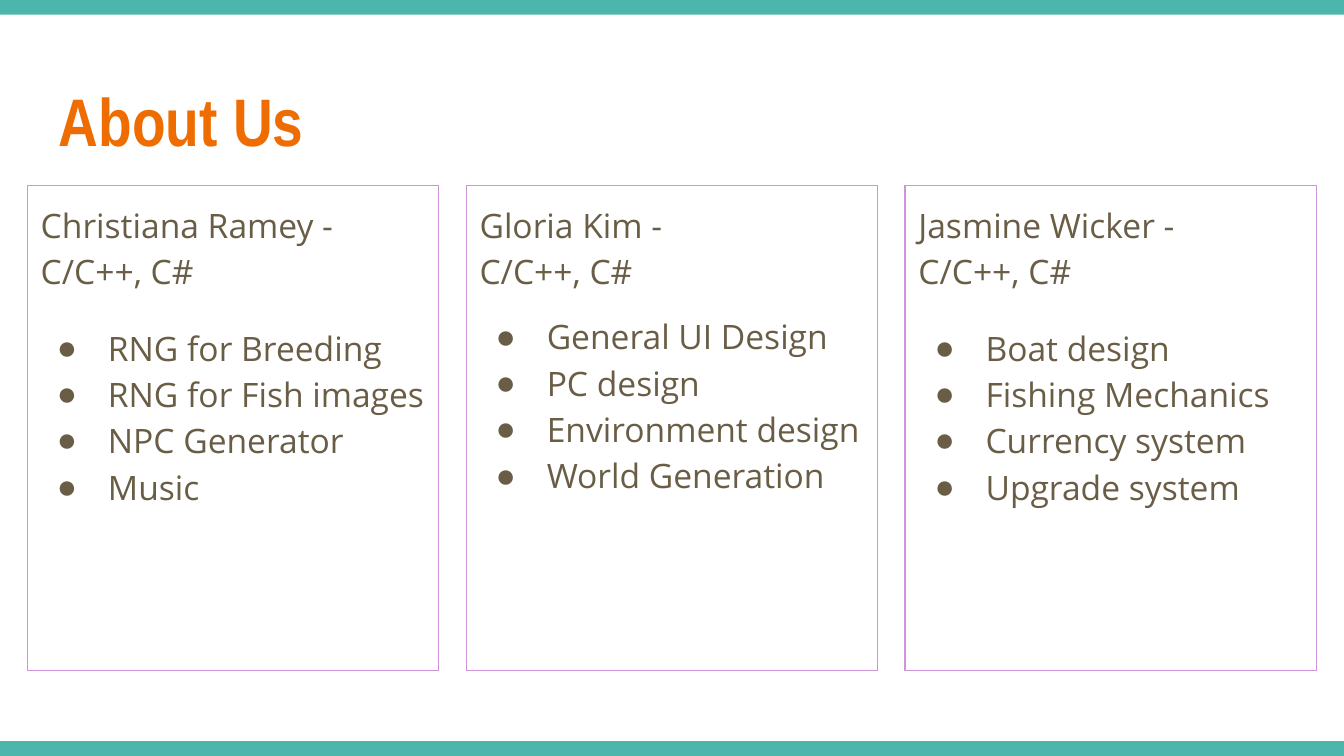
"""Build the "About Us" slide: a title above three framed team cards."""
from lxml.etree import SubElement
from pptx import Presentation
from pptx.dml.color import RGBColor
from pptx.enum.shapes import MSO_SHAPE as Shape
from pptx.enum.text import MSO_ANCHOR as Anchor, PP_ALIGN as Align
from pptx.oxml.ns import qn
from pptx.util import Inches, Pt

TEAL = RGBColor(0x4D, 0xB6, 0xAC)
ORANGE = RGBColor(0xEF, 0x6C, 0x00)
LILAC = RGBColor(0xCE, 0x93, 0xD8)
BROWN = RGBColor(0x69, 0x5D, 0x46)

TITLE = "About Us"
SKILLS = "C/C++, C#"
MEMBERS = [
    ("Christiana Ramey -", 16,
     ["RNG for Breeding", "RNG for Fish images", "NPC Generator", "Music"]),
    ("Gloria Kim -", 10,
     ["General UI Design", "PC design", "Environment design", "World Generation"]),
    ("Jasmine Wicker -", 16,
     ["Boat design", "Fishing Mechanics", "Currency system", "Upgrade system"]),
]

WIDTH, BAND = 10, 0.11
HEIGHT = WIDTH * 9 / 16
CARD_TOP, CARD_WIDTH, CARD_HEIGHT = 1.38, 3.06, 3.61
GAP = (WIDTH - len(MEMBERS) * CARD_WIDTH) / (len(MEMBERS) + 1)


def add_rectangle(page, left, top, width, height):
    box = page.shapes.add_shape(
        Shape.RECTANGLE, Inches(left), Inches(top), Inches(width), Inches(height))
    box.shadow.inherit = False
    return box


def add_band(page, top):
    band = add_rectangle(page, 0, top, WIDTH, BAND)
    band.fill.solid()
    band.fill.fore_color.rgb = TEAL
    band.line.fill.background()


def set_frame(box):
    frame = box.text_frame
    frame.word_wrap = True
    frame.vertical_anchor = Anchor.TOP
    frame.margin_left = frame.margin_right = Inches(0.1)
    frame.margin_top = frame.margin_bottom = Inches(0.1)
    return frame


def style_text(para, font, size, color, bold=False):
    for span in para.runs:
        span.font.name = font
        span.font.size = Pt(size)
        span.font.color.rgb = color
        span.font.bold = bold


def add_bullet(para):
    props = para._p.get_or_add_pPr()
    props.set("marL", str(Inches(0.5)))
    props.set("indent", str(Inches(-0.38)))
    color = SubElement(props, qn("a:buClr"))
    SubElement(color, qn("a:srgbClr"), val=str(BROWN))
    SubElement(props, qn("a:buFont"), typeface="Arial")
    SubElement(props, qn("a:buChar"), char="●")


def add_title(page):
    box = page.shapes.add_textbox(Inches(0.34), Inches(0.49), Inches(9.32), Inches(0.77))
    frame = set_frame(box)
    frame.text = TITLE
    style_text(frame.paragraphs[0], "Arial Narrow", 36, ORANGE, bold=True)


def add_card(page, left, name, space, tasks):
    card = add_rectangle(page, left, CARD_TOP, CARD_WIDTH, CARD_HEIGHT)
    card.fill.background()
    card.line.color.rgb = LILAC
    card.line.width = Pt(0.75)
    frame = set_frame(card)
    heading = [name, SKILLS]
    frame.text = "\n".join(heading + tasks)
    for index, para in enumerate(frame.paragraphs):
        para.alignment = Align.LEFT
        para.line_spacing = 1.15
        para.space_before = Pt(space if index == len(heading) else 0)
        style_text(para, "Open Sans", 18, BROWN)
        if index >= len(heading):
            add_bullet(para)


def main():
    deck = Presentation()
    deck.slide_width, deck.slide_height = Inches(WIDTH), Inches(HEIGHT)
    page = deck.slides.add_slide(deck.slide_layouts[6])
    for top in (HEIGHT - BAND, 0):
        add_band(page, top)
    add_title(page)
    for column, (name, space, tasks) in enumerate(MEMBERS):
        add_card(page, GAP + column * (CARD_WIDTH + GAP), name, space, tasks)
    deck.save("out.pptx")


if __name__ == "__main__":
    main()
